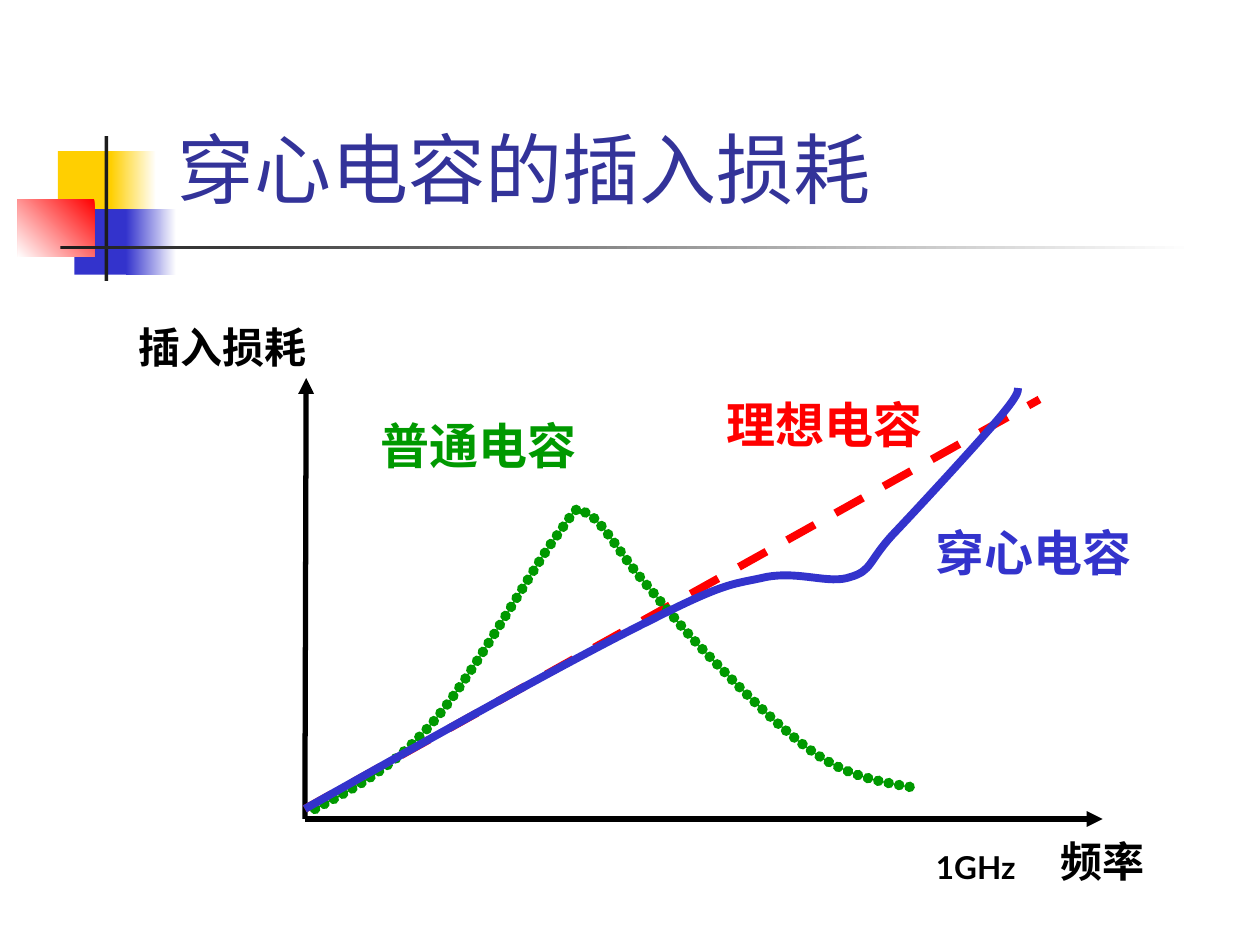
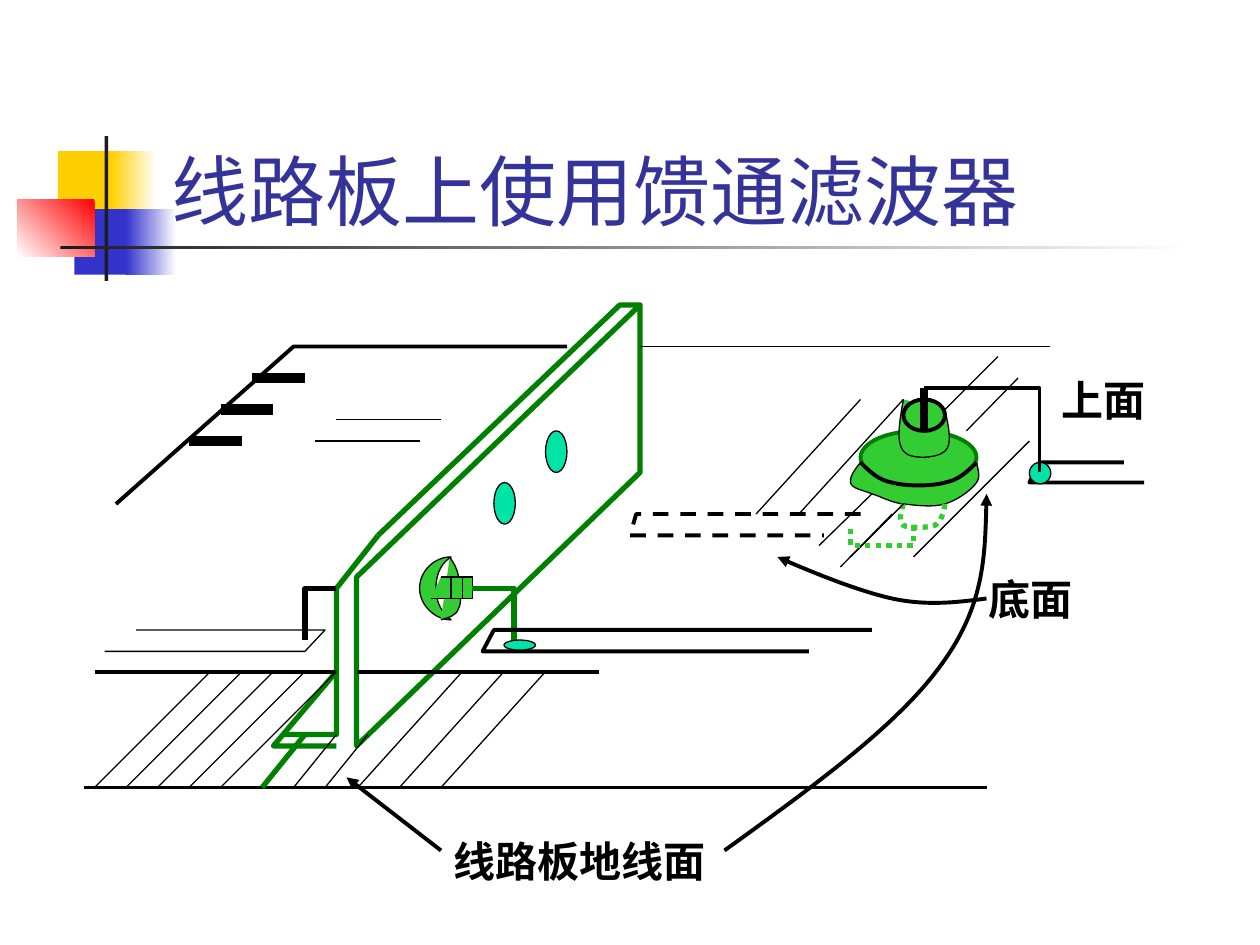
from dataclasses import dataclass
from typing import Optional, Union

from pptx import Presentation
from pptx import util as u
from pptx.dml.color import RGBColor
from pptx.enum import shapes, text
from pptx.oxml.ns import qn
from pptx.oxml.xmlchemy import OxmlElement

BLACK = RGBColor(0x00, 0x00, 0x00)
WHITE = RGBColor(0xFF, 0xFF, 0xFF)
CHARCOAL = RGBColor(0x1C, 0x1C, 0x1C)
YELLOW = RGBColor(0xFF, 0xCF, 0x01)
BLUE = RGBColor(0x33, 0x33, 0xCC)
RED = RGBColor(0xFF, 0x00, 0x00)
TITLE_BLUE = RGBColor(0x33, 0x33, 0x99)
CURVE_GREEN = RGBColor(0x00, 0x99, 0x00)
BOARD_GREEN = RGBColor(0x00, 0x80, 0x00)
FILTER_GREEN = RGBColor(0x33, 0xCC, 0x33)
MINT = RGBColor(0x00, 0xE4, 0xA8)
FONT = "Lato"

Point = tuple[float, float]


@dataclass(frozen=True)
class Stroke:
    color: RGBColor = BLACK
    width: float = 0.75
    dash: Optional[str] = None  # a preset dash name, or "beads" for touching round dots
    arrow: bool = False


THIN = Stroke()
MEDIUM = Stroke(width=2.25)
THICK = Stroke(width=6)
AXIS = Stroke(width=3, arrow=True)
POINTER = Stroke(width=2.25, arrow=True)
BOARD = Stroke(BOARD_GREEN, 3)
HIDDEN_TRACE = Stroke(width=2.25, dash="dash")
HIDDEN_FILTER = Stroke(FILTER_GREEN, 3, "sysDot")


@dataclass(frozen=True)
class Line:
    start: Point
    end: Point
    stroke: Stroke = THIN


@dataclass(frozen=True)
class Outline:
    """A polyline, or with curved=True a start point and triples of Bezier points."""
    points: tuple[Point, ...]
    stroke: Stroke = THIN
    fill: Optional[RGBColor] = None
    curved: bool = False
    closed: bool = False


@dataclass(frozen=True)
class Oval:
    left: float
    top: float
    width: float
    height: float
    fill: RGBColor = MINT
    stroke: Stroke = THIN


@dataclass(frozen=True)
class Label:
    words: str
    left: float
    top: float
    width: float
    height: float = 0.5
    size: int = 24
    color: RGBColor = BLACK


@dataclass(frozen=True)
class Tile:
    left: float
    top: float
    width: float
    height: float
    color: RGBColor
    fade_angle: Optional[float] = None


Item = Union[Line, Outline, Oval, Label]

DECORATION = (
    Tile(0.46, 1.2, 0.48, 0.52, YELLOW),
    Tile(0.88, 1.2, 0.36, 0.52, YELLOW, 0),
    Tile(0.59, 1.66, 0.46, 0.52, BLUE),
    Tile(1, 1.66, 0.4, 0.52, BLUE, 0),
    Tile(0.14, 1.58, 0.61, 0.46, RED, 225),
    Tile(0.83, 1.08, 0.03, 1.15, CHARCOAL),
    Tile(0.48, 1.95, 9, 0.03, CHARCOAL, 0),
)


def length(inches: float) -> u.Length:
    return u.Cm(inches * 2.54)


def lengths(*inches: float) -> list[u.Length]:
    return [length(value) for value in inches]


def apply_stroke(shape, stroke: Stroke) -> None:
    shape.line.color.rgb = stroke.color
    shape.line.width = u.Pt(stroke.width)
    ln = shape.element.spPr.find(qn("a:ln"))
    if stroke.dash == "beads":
        ln.set("cap", "rnd")
        dash = OxmlElement("a:custDash")
        bead = OxmlElement("a:ds")
        bead.set("d", "1000")
        bead.set("sp", "100000")
        dash.append(bead)
        ln.append(dash)
    elif stroke.dash:
        dash = OxmlElement("a:prstDash")
        dash.set("val", stroke.dash)
        ln.append(dash)
    if stroke.arrow:
        tail = OxmlElement("a:tailEnd")
        tail.set("type", "triangle")
        ln.append(tail)


def apply_fill(shape, color: Optional[RGBColor]) -> None:
    shape.shadow.inherit = False
    if color is None:
        shape.fill.background()
    else:
        shape.fill.solid()
        shape.fill.fore_color.rgb = color


def draw_line(page, line: Line) -> None:
    connector = page.shapes.add_connector(
        shapes.MSO_CONNECTOR.STRAIGHT, *lengths(*line.start, *line.end))
    apply_stroke(connector, line.stroke)
    connector.element.spPr.append(OxmlElement("a:effectLst"))


def bend(shape) -> None:
    """Turn each three straight steps of a freeform into one Bezier curve."""
    path = next(shape.element.iter(qn("a:path")))
    steps = path.findall(qn("a:lnTo"))
    for first in range(0, len(steps), 3):
        curve = OxmlElement("a:cubicBezTo")
        steps[first].addprevious(curve)
        for step in steps[first:first + 3]:
            curve.append(step[0])
            path.remove(step)


def draw_outline(page, outline: Outline) -> None:
    start, *rest = [lengths(*point) for point in outline.points]
    builder = page.shapes.build_freeform(*start)
    builder.add_line_segments(rest, close=outline.closed)
    shape = builder.convert_to_shape()
    if outline.curved:
        bend(shape)
    apply_fill(shape, outline.fill)
    apply_stroke(shape, outline.stroke)


def draw_oval(page, oval: Oval) -> None:
    shape = page.shapes.add_shape(
        shapes.MSO_SHAPE.OVAL, *lengths(oval.left, oval.top, oval.width, oval.height))
    apply_fill(shape, oval.fill)
    apply_stroke(shape, oval.stroke)


def format_spans(para, size: int, color: RGBColor, bold: bool) -> None:
    for span in para.runs:
        span.font.name = FONT
        span.font.size = u.Pt(size)
        span.font.bold = bold
        span.font.color.rgb = color


def draw_label(page, label: Label) -> None:
    box = page.shapes.add_textbox(*lengths(label.left, label.top, label.width, label.height))
    frame = box.text_frame
    frame.word_wrap = True
    frame.auto_size = text.MSO_AUTO_SIZE.SHAPE_TO_FIT_TEXT
    frame.text = label.words
    para = frame.paragraphs[0]
    para.space_before = u.Pt(label.size * 0.625)
    format_spans(para, label.size, label.color, True)


def draw_tile(page, tile: Tile):
    shape = page.shapes.add_shape(
        shapes.MSO_SHAPE.RECTANGLE, *lengths(tile.left, tile.top, tile.width, tile.height))
    apply_fill(shape, tile.color)
    shape.line.fill.background()
    if tile.fade_angle is not None:
        shape.fill.gradient()
        shape.fill.gradient_angle = tile.fade_angle
        for stop, color in zip(shape.fill.gradient_stops, (tile.color, WHITE)):
            stop.color.rgb = color
    return shape


def decorate_layout(layout, page) -> None:
    """Draw the decoration on a page, then move it to the layout that all pages share."""
    for holder in list(layout.placeholders):
        if holder.placeholder_format.type != shapes.PP_PLACEHOLDER.TITLE:
            layout.shapes.element.remove(holder.element)
    for tile in DECORATION:
        layout.shapes.element.append(draw_tile(page, tile).element)


def set_title(page, words: str, left: float, top: float) -> None:
    title = page.shapes.title
    title.left, title.top, title.width, title.height = lengths(left, top, 8.52, 1.25)
    frame = title.text_frame
    frame.text = words
    frame.vertical_anchor = text.MSO_ANCHOR.BOTTOM
    frame.auto_size = text.MSO_AUTO_SIZE.NONE
    frame.paragraphs[0].alignment = text.PP_ALIGN.LEFT
    format_spans(frame.paragraphs[0], 44, TITLE_BLUE, False)


def hatch(first: float, gap: float, count: int, run: float,
          top: float = 5.33, bottom: float = 6.25) -> list[Line]:
    """Equally spaced slanted lines that lean left by run on the way down."""
    return [Line((first + gap * i, top), (first + gap * i - run, bottom)) for i in range(count)]


ORDINARY_CURVE = (
    (2.5, 6.42), (2.8, 6.26), (3.1, 6.11), (3.42, 5.75), (3.74, 5.39), (4.21, 4.53), (4.42, 4.25),
    (4.62, 3.97), (4.56, 4.03), (4.67, 4.08), (4.78, 4.14), (4.92, 4.39), (5.08, 4.58),
    (5.25, 4.78), (5.43, 5.01), (5.67, 5.25), (5.9, 5.49), (6.24, 5.83), (6.5, 6),
    (6.76, 6.17), (7.01, 6.21), (7.25, 6.25))
FEEDTHROUGH_CURVE = (
    (2.42, 6.42), (3.49, 5.82), (4.56, 5.22), (5.17, 4.92), (5.78, 4.61), (5.82, 4.64),
    (6.08, 4.58), (6.35, 4.53), (6.58, 4.64), (6.75, 4.58), (6.92, 4.53), (6.89, 4.46),
    (7.08, 4.25), (7.28, 4.04), (7.75, 3.53), (7.92, 3.33), (8.08, 3.14), (8.08, 3.11),
    (8.08, 3.08))

INSERTION_LOSS: list[Item] = [
    Line((2.42, 6.5), (2.43, 3), AXIS),
    Line((2.42, 6.5), (8.75, 6.5), AXIS),
    Label("插入损耗", 1, 2.5, 1.67),
    Label("频率", 8.32, 6.58, 1.01),
    Label("1GHz", 7.33, 6.68, 1.08, 0.4, 18),
    Line((2.42, 6.42), (8.25, 3.17), Stroke(RED, 4.5, "dash")),
    Outline(ORDINARY_CURVE, Stroke(CURVE_GREEN, 6, "beads"), curved=True),
    Label("普通电容", 2.92, 3.25, 2.08, 0.57, 28, CURVE_GREEN),
    Label("理想电容", 5.67, 3.08, 2.08, 0.57, 28, RED),
    Label("穿心电容", 7.33, 4.1, 2.08, 0.57, 28, BLUE),
    Outline(FEEDTHROUGH_CURVE, Stroke(BLUE, 4.5), curved=True),
]

SHIELD_BOARD: list[Item] = [
    Outline(((3, 4.25), (4.92, 2.42), (5.08, 2.42), (5.08, 3.75), (2.83, 5.92), (2.83, 4.58),
             (5.08, 2.42)), BOARD),
    Outline(((2.67, 5.92), (2.17, 5.92), (2.67, 5.33)), BOARD),
    Outline(((3, 4.25), (2.67, 4.67), (2.67, 5.83), (2.25, 5.83)), BOARD),
    Outline(((0.92, 4), (2.33, 2.75), (4.5, 2.75)), MEDIUM),
    Line((5.08, 2.75), (8.33, 2.75)),
]
GROUND_PLANE: list[Item] = [
    Line((0.75, 5.33), (2.67, 5.33), MEDIUM),
    Line((2.83, 5.33), (4.75, 5.33), MEDIUM),
    Line((0.67, 6.25), (7.83, 6.25), MEDIUM),
    *hatch(1.67, 0.25, 5, 0.92),
    Line((2.42, 5.83), (2.08, 6.25), BOARD),
    *hatch(2.67, 0.25, 2, 0.34, top=5.83),
    *hatch(3.67, 0.33, 3, 0.83),
]
WALL_FILTER: list[Item] = [
    Oval(4.33, 3.42, 0.17, 0.33),
    Oval(3.92, 3.83, 0.17, 0.33),
    Outline(((3.58, 4.42), (3.52, 4.46), (3.46, 4.53), (3.46, 4.67), (3.46, 4.8), (3.52, 4.87),
             (3.58, 4.92), (3.45, 4.92), (3.33, 4.8), (3.33, 4.67), (3.33, 4.53), (3.45, 4.42),
             (3.58, 4.42)), fill=FILTER_GREEN, curved=True, closed=True),
    Outline(((3.57, 4.42), (3.6, 4.47), (3.63, 4.51), (3.64, 4.58), (3.65, 4.65), (3.67, 4.78),
             (3.64, 4.83), (3.62, 4.89), (3.56, 4.9), (3.5, 4.92)),
            fill=FILTER_GREEN, curved=True),
    Outline(((3.5, 4.58), (3.75, 4.58), (3.75, 4.75), (3.42, 4.75)), fill=FILTER_GREEN),
    *hatch(3.58, 0.09, 2, 0, 4.58, 4.75),
    Outline(((2.67, 4.67), (2.42, 4.67), (2.42, 5.08)), Stroke(width=3)),
    Outline(((3.75, 4.67), (4.08, 4.67), (4.08, 5.08)), BOARD),
    Outline(((6.92, 5), (3.92, 5), (3.83, 5.17), (6.42, 5.17)), MEDIUM),
    Oval(4, 5.08, 0.25, 0.08),
    Outline(((1.08, 5), (2.58, 5), (2.42, 5.17), (0.83, 5.17))),
    Label("线路板地线面", 3.5, 6.58, 2.42),
    Line((3.5, 6.75), (2.75, 6.17), POINTER),
]
SURFACE_FILTER: list[Item] = [
    Oval(6.83, 3.42, 0.92, 0.42, FILTER_GREEN, Stroke(BOARD_GREEN, 2.25)),
    Outline(((6.83, 3.67), (6.78, 3.73), (6.74, 3.79), (6.75, 3.83), (6.76, 3.88), (6.85, 3.89),
             (6.92, 3.92), (6.99, 3.94), (7.07, 3.99), (7.17, 4), (7.26, 4.01), (7.4, 4.03),
             (7.5, 4), (7.6, 3.97), (7.71, 3.89), (7.75, 3.83), (7.79, 3.78), (7.75, 3.69),
             (7.75, 3.67)), fill=FILTER_GREEN, curved=True),
    Outline(((7.17, 3.17), (7.14, 3.34), (7.11, 3.51), (7.17, 3.58), (7.22, 3.65), (7.44, 3.64),
             (7.5, 3.58), (7.56, 3.53), (7.53, 3.39), (7.5, 3.25)),
            fill=FILTER_GREEN, curved=True),
    Oval(7.17, 3.17, 0.33, 0.25, FILTER_GREEN, MEDIUM),
    Line((7.33, 3.08), (7.33, 3.42), Stroke(width=4.5)),
    Outline(((7.17, 4), (7.15, 4.07), (7.13, 4.14), (7.17, 4.17), (7.21, 4.19), (7.36, 4.19),
             (7.42, 4.17), (7.47, 4.14), (7.49, 4.07), (7.5, 4)), HIDDEN_FILTER, curved=True),
    Outline(((6.83, 3.67), (6.9, 3.74), (6.97, 3.81), (7.08, 3.83), (7.19, 3.86), (7.39, 3.86),
             (7.5, 3.83), (7.61, 3.81), (7.68, 3.74), (7.75, 3.67)), MEDIUM, curved=True),
    *hatch(6.83, 0.34, 2, 0.83, 3.17, 4.08),
    Line((6.92, 3.92), (6.5, 4.33)),
    Line((7.17, 4), (6.75, 4.42)),
    Line((8.17, 3.5), (7.25, 4.42)),
    Line((7.92, 2.83), (7.5, 3.25)),
    Line((8.08, 3), (7.67, 3.42)),
    Line((7.08, 4.08), (6.67, 4.5)),
    Outline(((6.83, 4.08), (5.05, 4.08), (5, 4.25), (6.54, 4.25)), HIDDEN_TRACE),
    Outline(((7.25, 4.17), (7.25, 4.33), (6.75, 4.33), (6.75, 4.17)), HIDDEN_FILTER),
    Outline(((8.92, 3.67), (8.25, 3.67), (8.17, 3.83), (9.08, 3.83)), MEDIUM),
    Oval(8.17, 3.67, 0.17, 0.17),
    Outline(((7.33, 3.08), (8.25, 3.08), (8.25, 3.75)), MEDIUM),
    Label("上面", 8.33, 2.92, 1.17),
    Label("底面", 7.75, 4.5, 1.17),
    Outline(((7.83, 4.75), (7.6, 4.78), (7.36, 4.81), (7.08, 4.75), (6.81, 4.69), (6.32, 4.49),
             (6.17, 4.42)), POINTER, curved=True),
]
EDGE_PINS: list[Item] = [
    Line((1.5 + 0.25 * i, 3.5 - 0.25 * i), (1.92 + 0.25 * i, 3.5 - 0.25 * i), THICK)
    for i in range(3)]
SURFACE_TRACES: list[Item] = [
    Line((2.67, 3.33), (3.5, 3.33)),
    Line((2.5, 3.5), (3.33, 3.5)),
    Outline(((5.75, 6.75), (6.43, 6.26), (7.11, 5.77), (7.46, 5.29), (7.81, 4.82), (7.82, 4.37),
             (7.83, 3.92)), POINTER, curved=True),
]
BOARD_FILTER = (SHIELD_BOARD + GROUND_PLANE + WALL_FILTER + SURFACE_FILTER
                + EDGE_PINS + SURFACE_TRACES)

PAINTERS = {Line: draw_line, Outline: draw_outline, Oval: draw_oval, Label: draw_label}


def main() -> None:
    deck = Presentation()
    deck.slide_width, deck.slide_height = lengths(10, 7.5)
    layout = deck.slide_layouts[5]
    pages = (("穿心电容的插入损耗", 1.31, 0.5, INSERTION_LOSS),
             ("线路板上使用馈通滤波器", 1.26, 0.67, BOARD_FILTER))
    for number, (words, left, top, items) in enumerate(pages):
        page = deck.slides.add_slide(layout)
        if number == 0:
            decorate_layout(layout, page)
        set_title(page, words, left, top)
        for item in items:
            PAINTERS[type(item)](page, item)
    deck.save("out.pptx")


if __name__ == "__main__":
    main()
